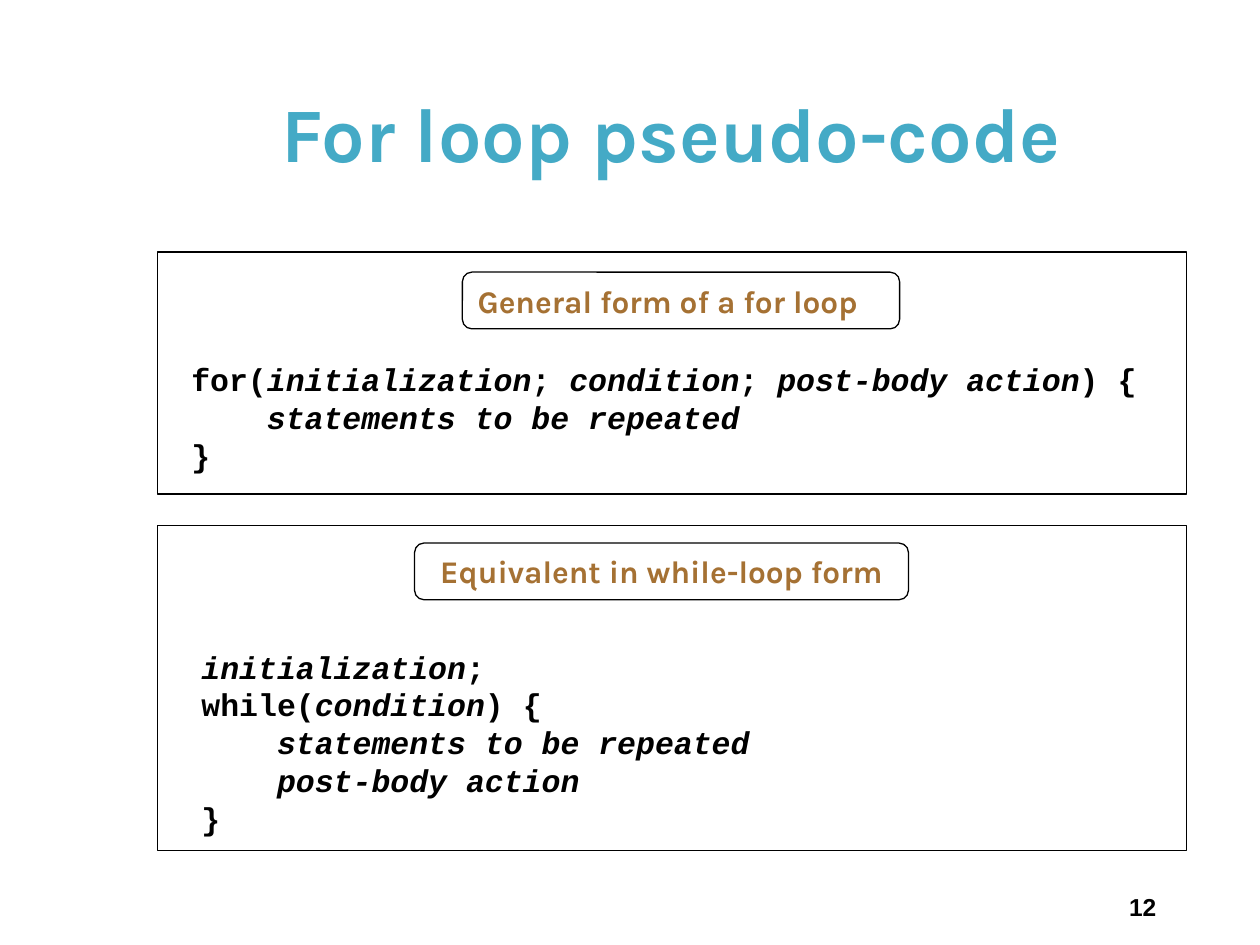
from pptx import Presentation
from pptx.dml.color import RGBColor
from pptx.enum.shapes import MSO_SHAPE
from pptx.enum.text import MSO_ANCHOR, MSO_AUTO_SIZE, PP_ALIGN
from pptx.util import Emu, Pt

PX = 9144  # EMU per px, at 100 px to the inch
BLACK, TEAL, BROWN = "000000", "44AAC6", "A57133"

TITLE_FONT = {"name": "Karla", "size": Pt(44), "bold": True}
LABEL_FONT = {"name": "Karla", "size": Pt(18), "bold": True}
CODE_FONT = {"name": "Courier New", "size": Pt(18), "bold": True}
NUMBER_FONT = {"name": "Arial", "size": Pt(14), "bold": True}

# Asterisks enclose the italic parts of the code.
FOR_CODE = [
    "for(*initialization*; *condition*; *post-body action*) {",
    "    *statements to be repeated*",
    "}",
]
WHILE_CODE = [
    "*initialization*;",
    "while(*condition*) {",
    "    *statements to be repeated*",
    "    *post-body action*",
    "}",
]


def px(*lengths):
    return [Emu(length * PX) for length in lengths]


def color(value):
    return RGBColor.from_string(value)


def set_values(target, values):
    for name, value in values.items():
        setattr(target, name, value)


def write_lines(text_frame, lines, font, font_color, align=PP_ALIGN.LEFT):
    for index, line in enumerate(lines):
        paragraph = text_frame.add_paragraph() if index else text_frame.paragraphs[0]
        paragraph.alignment = align
        for part_index, part in enumerate(line.split("*")):
            if part:
                run = paragraph.add_run()
                run.text = part
                set_values(run.font, {**font, "italic": part_index % 2 == 1})
                run.font.color.rgb = color(font_color)


def add_outline(slide, kind, box):
    shape = slide.shapes.add_shape(kind, *px(*box))
    shape.shadow.inherit = False
    shape.fill.background()
    shape.line.color.rgb = color(BLACK)
    shape.line.width = Pt(0.75)
    return shape


def add_title(slide, box, text):
    title = slide.shapes.title
    set_values(title, dict(zip(("left", "top", "width", "height"), px(*box))))
    title.text_frame.vertical_anchor = MSO_ANCHOR.MIDDLE
    write_lines(title.text_frame, [text], TITLE_FONT, TEAL, PP_ALIGN.CENTER)


def add_code_panel(slide, box, label, label_box, label_align, code, code_box):
    """Draw a framed panel; label_box and code_box are relative to its corner."""
    left, top = box[:2]

    def inside(part):
        return left + part[0], top + part[1], part[2], part[3]

    add_outline(slide, MSO_SHAPE.RECTANGLE, box)
    label_shape = add_outline(slide, MSO_SHAPE.ROUNDED_RECTANGLE, inside(label_box))
    code_shape = slide.shapes.add_textbox(*px(*inside(code_box)))
    for shape in (label_shape, code_shape):
        set_values(shape.text_frame, {"word_wrap": False,
                                      "auto_size": MSO_AUTO_SIZE.SHAPE_TO_FIT_TEXT})
    label_shape.text_frame.vertical_anchor = MSO_ANCHOR.MIDDLE
    write_lines(label_shape.text_frame, [label], LABEL_FONT, BROWN, label_align)
    write_lines(code_shape.text_frame, code, CODE_FONT, BLACK)


def add_page_number(slide, box, text):
    text_frame = slide.shapes.add_textbox(*px(*box)).text_frame
    text_frame.word_wrap = True
    write_lines(text_frame, [text], NUMBER_FONT, BLACK, PP_ALIGN.RIGHT)


def main():
    presentation = Presentation()
    presentation.slide_width, presentation.slide_height = px(1000, 750)
    slide = presentation.slides.add_slide(presentation.slide_layouts[5])
    add_title(slide, (108, 42, 850, 125), "For loop pseudo-code")
    add_code_panel(slide, (125, 200, 817, 192),
                   "General form of a for loop", (242, 16, 347, 45), PP_ALIGN.LEFT,
                   FOR_CODE, (17, 81, 770, 100))
    add_code_panel(slide, (125, 417, 817, 258),
                   "Equivalent in while-loop form", (204, 14, 392, 45), PP_ALIGN.CENTER,
                   WHILE_CODE, (25, 92, 455, 160))
    add_page_number(slide, (875, 703, 58, 33), "12 ")
    presentation.save("out.pptx")


if __name__ == "__main__":
    main()
